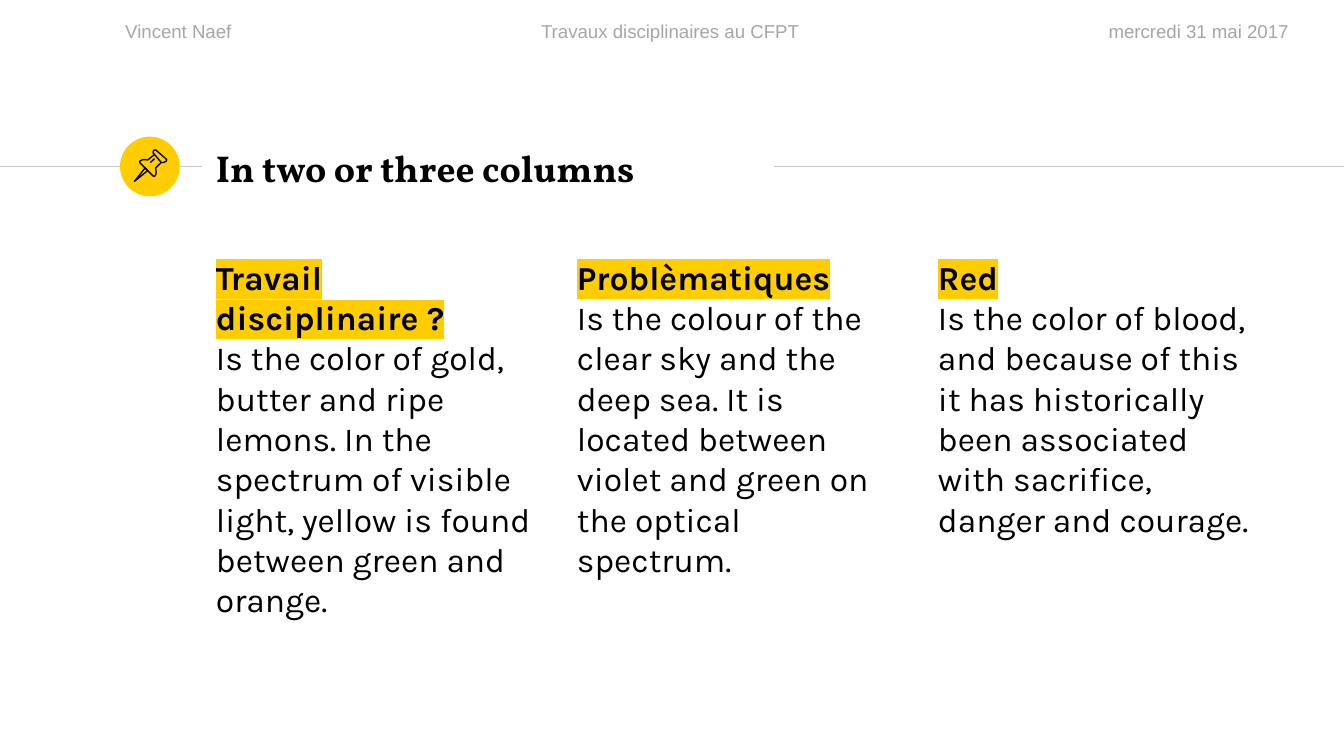
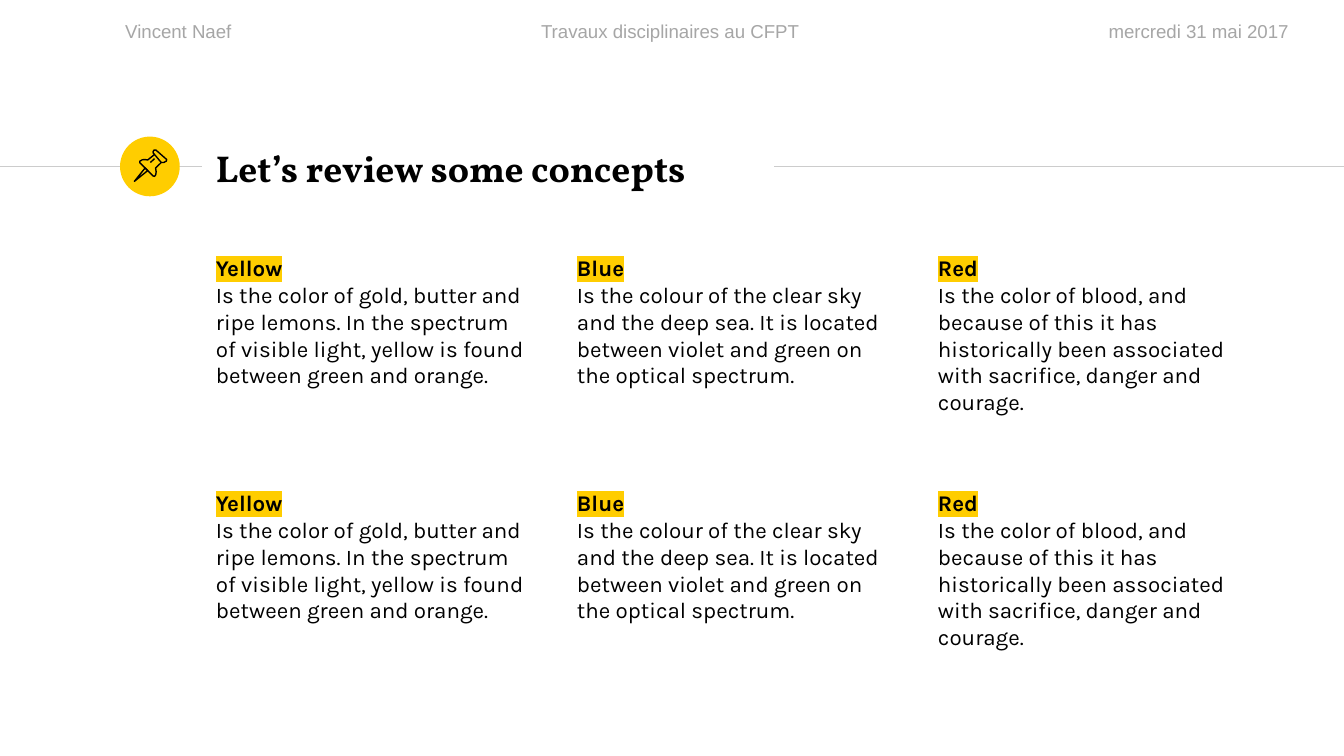
"""Build two slides of highlighted text columns under a shared header and pinned title."""
from dataclasses import dataclass

from lxml import etree
from pptx import Presentation
from pptx.dml.color import RGBColor
from pptx.enum import shapes, text
from pptx.oxml.ns import qn
from pptx.slide import Slide
from pptx.util import Pt

BLACK = RGBColor(0x00, 0x00, 0x00)
GREY = RGBColor(0xA6, 0xA6, 0xA6)
RULE_GREY = RGBColor(0xCC, 0xCC, 0xCC)
YELLOW = RGBColor(0xFF, 0xCD, 0x00)

SLIDE_WIDTH, SLIDE_HEIGHT = 720, 405
RULE_TOP = 89.2
COLUMN_LEFT, COLUMN_STEP, COLUMN_WIDTH = 108.6, 193.4, 183.6
ROW_STEP = 125.9

LEFT, CENTER, RIGHT = text.PP_ALIGN.LEFT, text.PP_ALIGN.CENTER, text.PP_ALIGN.RIGHT
TOP, MIDDLE = text.MSO_ANCHOR.TOP, text.MSO_ANCHOR.MIDDLE


@dataclass(frozen=True)
class Box:
    left: float
    top: float
    width: float
    height: float


@dataclass(frozen=True)
class HeaderItem:
    wording: str
    box: Box
    align: text.PP_ALIGN


@dataclass(frozen=True)
class Outline:
    points: list[tuple[float, float]]
    closed: bool


@dataclass(frozen=True)
class Topic:
    heading: str
    body: str


@dataclass(frozen=True)
class ColumnSlide:
    title: str
    rows: list[list[Topic]]
    top: float
    row_height: float
    size: float


HEADER = [
    HeaderItem("Vincent Naef", Box(-2.2, 7.2, 133.2, 19.4), RIGHT),
    HeaderItem("Travaux disciplinaires au CFPT", Box(131, 7.2, 455.8, 19.4), CENTER),
    HeaderItem("mercredi 31 mai 2017", Box(586.8, 7.2, 133.2, 19.4), LEFT),
]

PIN = [
    Outline([(77.8, 90), (72, 97.2), (79.2, 91.4)], True),
    Outline([(82.8, 82.8), (86.4, 87.1), (87.8, 87.1), (89.1, 86.4), (89.3, 85.5),
             (83.5, 80.4), (82.5, 80.5), (82, 81.4), (82.2, 82.2)], True),
    Outline([(82.8, 82.8), (79.2, 85.7), (77.8, 85.5), (76.3, 85.6), (74.9, 86.4),
             (74.9, 87.1), (82.1, 94.3), (82.8, 94.5), (83.5, 93.6), (83.7, 92),
             (83.4, 90), (86.4, 87.1)], False),
    Outline([(80.6, 87.1), (82.8, 85)], False),
]

GOLD_TEXT = ("Is the color of gold, butter and ripe lemons. In the spectrum of visible "
             "light, yellow is found between green and orange.")
SKY_TEXT = ("Is the colour of the clear sky and the deep sea. It is located between "
            "violet and green on the optical spectrum.")
BLOOD_TEXT = ("Is the color of blood, and because of this it has historically been "
              "associated with sacrifice, danger and courage.")

RED_TOPIC = Topic("Red", BLOOD_TEXT)
COLOUR_TOPICS = [Topic("Yellow", GOLD_TEXT), Topic("Blue", SKY_TEXT), RED_TOPIC]
WORK_TOPICS = [Topic("Travail disciplinaire ?", GOLD_TEXT),
               Topic("Problèmatiques", SKY_TEXT), RED_TOPIC]

SLIDES = [
    ColumnSlide("In two or three columns", [WORK_TOPICS], 130.3, 245.5, 18),
    ColumnSlide("Let’s review some concepts", [COLOUR_TOPICS] * 2, 128.9, 95, 12),
]


def add_text(slide: Slide, wording: str, box: Box, *, font: str, size: float,
             color: RGBColor = BLACK, bold: bool = False, align: text.PP_ALIGN = LEFT,
             anchor: text.MSO_ANCHOR = TOP, inset: float = 7.2,
             heading: str | None = None) -> None:
    """Add a text box, with an optional bold highlighted heading above the wording."""
    shape = slide.shapes.add_textbox(Pt(box.left), Pt(box.top), Pt(box.width), Pt(box.height))
    frame = shape.text_frame
    frame.word_wrap = True
    frame.vertical_anchor = anchor
    frame.margin_left = frame.margin_right = Pt(7.2)
    frame.margin_top = frame.margin_bottom = Pt(inset)
    frame.text = wording if heading is None else f"{heading}\n{wording}"
    for index, paragraph in enumerate(frame.paragraphs):
        is_heading = heading is not None and index == 0
        paragraph.alignment = align
        run = paragraph.runs[0]
        run.font.name = font
        run.font.size = Pt(size)
        run.font.bold = bold or is_heading
        run.font.color.rgb = color
        if is_heading:
            fill = run._r.get_or_add_rPr().find(qn("a:solidFill"))
            highlight = etree.Element(qn("a:highlight"))
            etree.SubElement(highlight, qn("a:srgbClr"), val=str(YELLOW))
            fill.addnext(highlight)


def add_rule(slide: Slide, start: float, end: float) -> None:
    """Draw one thin horizontal rule at title height."""
    rule = slide.shapes.add_connector(
        shapes.MSO_CONNECTOR.STRAIGHT, Pt(start), Pt(RULE_TOP), Pt(end), Pt(RULE_TOP))
    rule.line.color.rgb = RULE_GREY
    rule.line.width = Pt(0.75)
    etree.SubElement(rule._element.spPr, qn("a:effectLst"))


def add_badge(slide: Slide) -> None:
    """Draw the yellow disc beside the title."""
    disc = slide.shapes.add_shape(
        shapes.MSO_SHAPE.OVAL, Pt(64.3), Pt(73.2), Pt(32), Pt(32))
    disc.shadow.inherit = False
    disc.fill.solid()
    disc.fill.fore_color.rgb = YELLOW
    disc.line.fill.background()


def add_pin(slide: Slide) -> None:
    """Draw the outlined pin as one group."""
    group = slide.shapes.add_group_shape()
    for outline in PIN:
        points = [(Pt(x), Pt(y)) for x, y in outline.points]
        builder = group.shapes.build_freeform(*points[0])
        builder.add_line_segments(points[1:], close=outline.closed)
        shape = builder.convert_to_shape()
        shape.shadow.inherit = False
        shape.fill.background()
        shape.line.color.rgb = BLACK
        shape.line.width = Pt(0.75)


def add_frame(slide: Slide, title: str) -> None:
    """Draw the header, rules, badge and title that every slide shares."""
    add_rule(slide, 0, 108)
    add_badge(slide)
    add_rule(slide, 414.7, SLIDE_WIDTH)
    for item in HEADER:
        add_text(slide, item.wording, item.box, font="Arial", size=10, color=GREY,
                 align=item.align, inset=3.6)
    add_text(slide, title, Box(COLUMN_LEFT, 72.7, 305.3, 34.6), font="Vollkorn", size=20,
             bold=True, anchor=MIDDLE)
    add_pin(slide)


def add_columns(slide: Slide, content: ColumnSlide) -> None:
    """Lay the topics out on the column grid."""
    for row, topics in enumerate(content.rows):
        for column, topic in enumerate(topics):
            box = Box(COLUMN_LEFT + column * COLUMN_STEP, content.top + row * ROW_STEP,
                      COLUMN_WIDTH, content.row_height)
            add_text(slide, topic.body, box, font="Karla", size=content.size,
                     heading=topic.heading)


def main() -> None:
    """Build and save the presentation."""
    presentation = Presentation()
    presentation.slide_width = Pt(SLIDE_WIDTH)
    presentation.slide_height = Pt(SLIDE_HEIGHT)
    blank = presentation.slide_layouts[6]
    for content in SLIDES:
        slide = presentation.slides.add_slide(blank)
        add_frame(slide, content.title)
        add_columns(slide, content)
    presentation.save("out.pptx")


if __name__ == "__main__":
    main()
